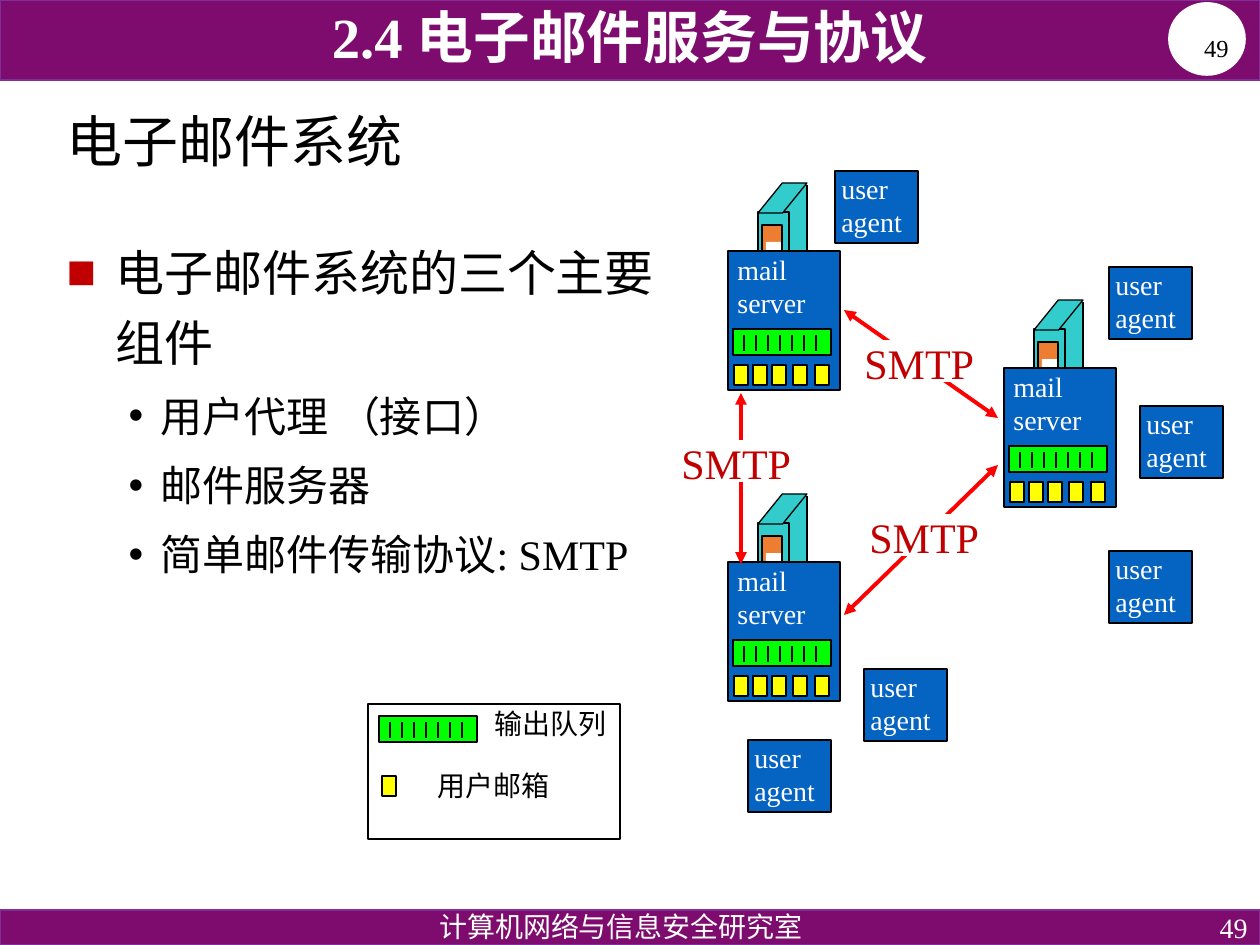
from lxml import etree
from pptx import Presentation
from pptx.dml.color import RGBColor
from pptx.enum.shapes import MSO_CONNECTOR, MSO_SHAPE
from pptx.enum.text import MSO_ANCHOR, MSO_AUTO_SIZE, PP_ALIGN
from pptx.oxml.ns import qn
from pptx.util import Emu, Pt

RECTANGLE = MSO_SHAPE.RECTANGLE
ELLIPSE = MSO_SHAPE.OVAL
PARALLELOGRAM = MSO_SHAPE.PARALLELOGRAM
STRAIGHT = MSO_CONNECTOR.STRAIGHT
TOP, MIDDLE, BOTTOM = MSO_ANCHOR.TOP, MSO_ANCHOR.MIDDLE, MSO_ANCHOR.BOTTOM
LEFT, CENTER, RIGHT = PP_ALIGN.LEFT, PP_ALIGN.CENTER, PP_ALIGN.RIGHT
FIXED, GROW = MSO_AUTO_SIZE.NONE, MSO_AUTO_SIZE.SHAPE_TO_FIT_TEXT

EMU_PER_PX = 914400 / 126
SERIF, CHINESE, COMIC = "Times New Roman", "Noto Sans CJK SC", "Comic Neue"
COLORS = {
    "banner": "7E0C6E", "banner_line": "7F2F95", "white": "FFFFFF",
    "black": "000000", "label": "C00000", "arrow": "FF0000",
    "box": "0563C1", "tower": "33CCCC", "drive": "ED7D31",
    "queue": "00FF00", "mailbox": "FFFF00",
}
SERVERS = [(1004, 368), (728, 562), (728, 251)]
AGENTS = [(1109, 267), (1140, 406), (1109, 551), (864, 669), (748, 740), (835, 171)]
ARROWS = [(844, 310, 998, 418), (844, 615, 998, 465), (741, 564, 741, 393)]
PROTOCOL_LABELS = [(857, 505), (852, 331), (669, 431)]
MAILBOX_OFFSETS = (6, 25, 44, 65, 87)
BULLETS = [
    ("电子邮件系统的三个主要组件", 0),
    ("用户代理 （接口）", 1),
    ("邮件服务器", 1),
    ("简单邮件传输协议: SMTP", 1),
]


def px(value):
    return Emu(round(value * EMU_PER_PX))


def color(name):
    return RGBColor.from_string(COLORS[name])


def place(shape, left, top, width, height):
    shape.left, shape.top = px(left), px(top)
    shape.width, shape.height = px(width), px(height)


def format_run(run, size, font, color_name, bold=False):
    run.font.size = Pt(size)
    run.font.name = font
    run.font.bold = bold
    run.font.color.rgb = color(color_name)
    east_asian = etree.Element(qn("a:ea"), typeface=CHINESE)
    run.font._element.find(qn("a:latin")).addnext(east_asian)


def write(shape, text, size, color_name="black", font=SERIF, align=LEFT,
          anchor=TOP, spacing=1.0, bold=False, wrap=True):
    frame = shape.text_frame
    frame.text = text
    frame.word_wrap = wrap
    frame.auto_size = FIXED if wrap else GROW
    frame.vertical_anchor = anchor
    for paragraph in frame.paragraphs:
        paragraph.alignment = align
        paragraph.line_spacing = spacing
        for run in paragraph.runs:
            format_run(run, size, font, color_name, bold)


def add_text(slide, box, text, size, **style):
    shape = slide.shapes.add_textbox(*map(px, box))
    write(shape, text, size, **style)


def add_block(slide, box, fill=None, line=None, weight=0.75, kind=RECTANGLE):
    shape = slide.shapes.add_shape(kind, *map(px, box))
    shape.shadow.inherit = False
    if fill:
        shape.fill.solid()
        shape.fill.fore_color.rgb = color(fill)
    else:
        shape.fill.background()
    if line:
        shape.line.color.rgb = color(line)
        shape.line.width = Pt(weight)
    else:
        shape.line.fill.background()
    return shape


def add_line(slide, ends, color_name="black", weight=1.5, arrows=False):
    connector = slide.shapes.add_connector(STRAIGHT, *map(px, ends))
    connector.line.color.rgb = color(color_name)
    connector.line.width = Pt(weight)
    etree.SubElement(connector._element.spPr, qn("a:effectLst"))
    if arrows:
        line = connector.line._get_or_add_ln()
        for tag in ("a:headEnd", "a:tailEnd"):
            etree.SubElement(line, qn(tag), type="triangle")


def add_queue(slide, left, top):
    add_block(slide, (left, top, 98, 26), "queue", "black", 1.5)
    for index in range(7):
        tick = left + 11 + 12 * index
        add_line(slide, (tick, top + 6, tick, top + 22))


def add_mailbox(slide, left, top):
    add_block(slide, (left, top, 14, 20), "mailbox", "black")


def add_server(slide, left, top):
    add_block(slide, (left + 55, top - 67, 23, 98), "tower")
    add_block(slide, (left + 30, top - 39, 31, 98), "tower", "black")
    roof = add_block(slide, (left + 30, top - 68, 49, 30), "tower", "black",
                     kind=PARALLELOGRAM)
    roof.adjustments[0] = 0.81
    add_line(slide, (left + 79, top - 66, left + 79, top + 31), weight=0.75)
    add_block(slide, (left + 34, top - 26, 20, 57), "drive", "black")
    add_block(slide, (left + 38, top - 9, 15, 20), "white")
    add_block(slide, (left, top, 112, 139), "box", "black", 1.5)
    add_text(slide, (left - 3, top - 5, 95, 81), "mail\nserver", 16,
             color_name="white", wrap=False)
    add_queue(slide, left + 5, top + 78)
    for offset in MAILBOX_OFFSETS:
        add_mailbox(slide, left + offset, top + 114)


def add_agent(slide, left, top):
    add_block(slide, (left, top, 83, 72), "box", "black", 1.5)
    add_text(slide, (left - 6, top - 6, 87, 81), "user\nagent", 16,
             color_name="white", wrap=False)


def add_protocol_label(slide, left, top):
    add_block(slide, (left + 11, top + 9, 118, 42), "white")
    add_text(slide, (left, top, 136, 64), "SMTP", 24,
             color_name="label", wrap=False)


def add_legend(slide):
    add_block(slide, (368, 704, 252, 135), line="black")
    add_text(slide, (425, 762, 139, 47), "用户邮箱", 16, font=COMIC, wrap=False)
    add_queue(slide, 379, 716)
    add_mailbox(slide, 382, 776)
    add_text(slide, (480, 700, 139, 47), "输出队列", 16, font=COMIC,
             align=RIGHT, wrap=False)


def add_banners(slide):
    for top, height in ((0, 80), (910, 35)):
        add_block(slide, (0, top, 1260, height), "banner", "banner_line", 1)
    add_block(slide, (1169, 3, 76, 72), "white", "white", 1, ELLIPSE)
    add_text(slide, (976, 910, 284, 35), "49", 16, color_name="white",
             align=RIGHT, anchor=MIDDLE)
    add_text(slide, (339, 907, 564, 35), "计算机网络与信息安全研究室", 16,
             color_name="white", align=CENTER, spacing=0.9)
    add_text(slide, (948, 27, 293, 65), "49", 14, align=RIGHT)
    add_text(slide, (91, 5, 1077, 71), "2.4 电子邮件服务与协议", 32.4,
             color_name="white", align=CENTER, anchor=BOTTOM, spacing=0.8,
             bold=True)


def set_bullet(paragraph, character, color_name, margin, hanging):
    properties = paragraph._p.get_or_add_pPr()
    properties.set("marL", str(px(margin)))
    properties.set("indent", str(-px(hanging)))
    bullet_color = etree.SubElement(properties, qn("a:buClr"))
    etree.SubElement(bullet_color, qn("a:srgbClr"), val=COLORS[color_name])
    etree.SubElement(properties, qn("a:buFont"), typeface="Arial")
    etree.SubElement(properties, qn("a:buChar"), char=character)


def fill_placeholders(slide):
    title, body = slide.shapes.title, slide.placeholders[1]
    place(title, 54, 84, 1131, 121)
    write(title, "电子邮件系统", 32, font=CHINESE, anchor=MIDDLE, spacing=0.9)
    place(body, 54, 224, 622, 427)
    write(body, "\n".join(text for text, level in BULLETS), 24, spacing=1.2)
    for paragraph, (text, level) in zip(body.text_frame.paragraphs, BULLETS):
        paragraph.level = level
        paragraph.space_before = Pt(5 * level)
        if level:
            set_bullet(paragraph, "•", "black", 94, 32)
        else:
            set_bullet(paragraph, "■", "label", 49, 49)
            paragraph.runs[0].font.size = Pt(28)


def main():
    presentation = Presentation()
    presentation.slide_width, presentation.slide_height = px(1260), px(945)
    slide = presentation.slides.add_slide(presentation.slide_layouts[1])
    add_banners(slide)
    fill_placeholders(slide)
    add_legend(slide)
    for server in SERVERS:
        add_server(slide, *server)
    for agent in AGENTS:
        add_agent(slide, *agent)
    for ends in ARROWS:
        add_line(slide, ends, "arrow", 2.25, arrows=True)
    for label in PROTOCOL_LABELS:
        add_protocol_label(slide, *label)
    presentation.save("out.pptx")


if __name__ == "__main__":
    main()
